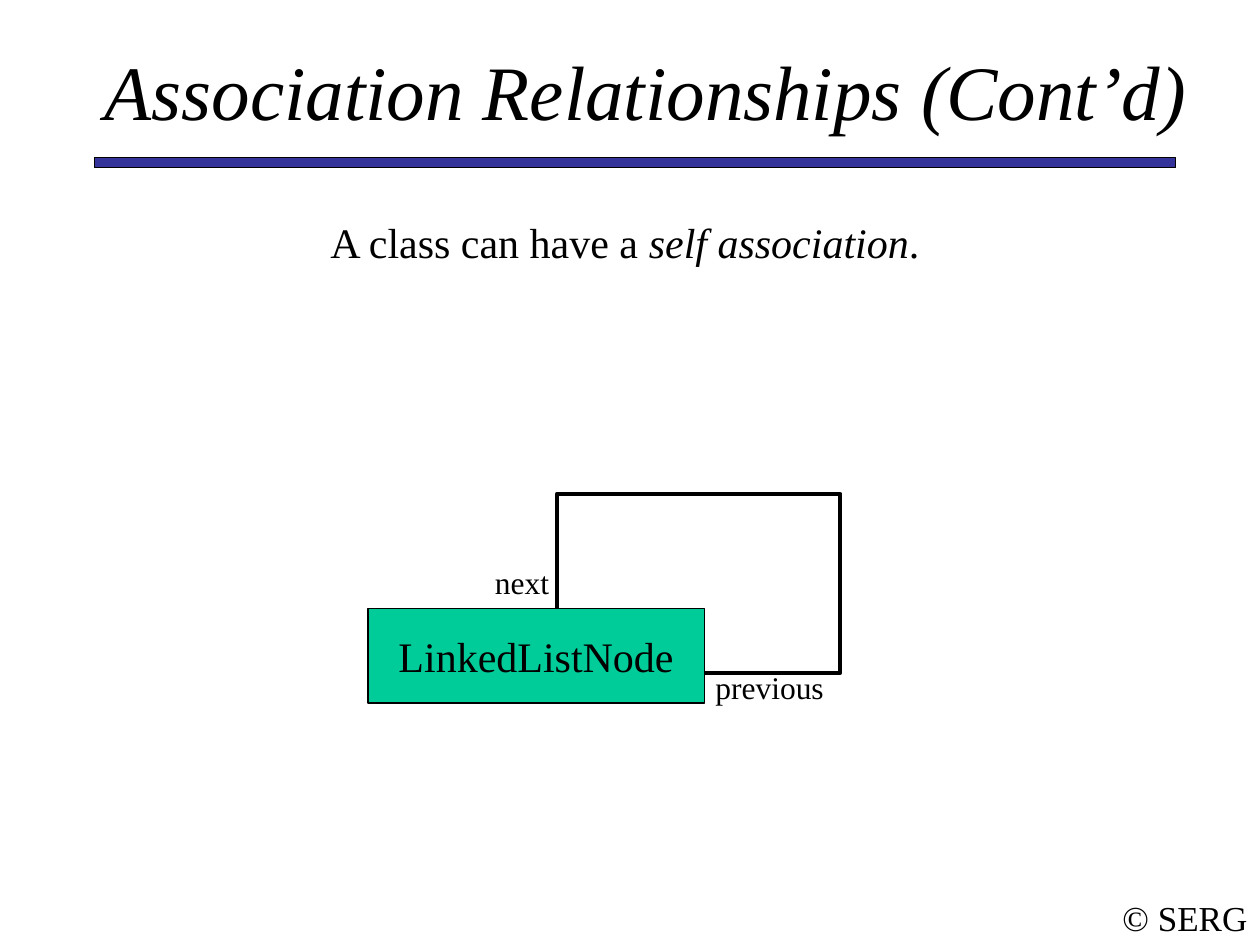
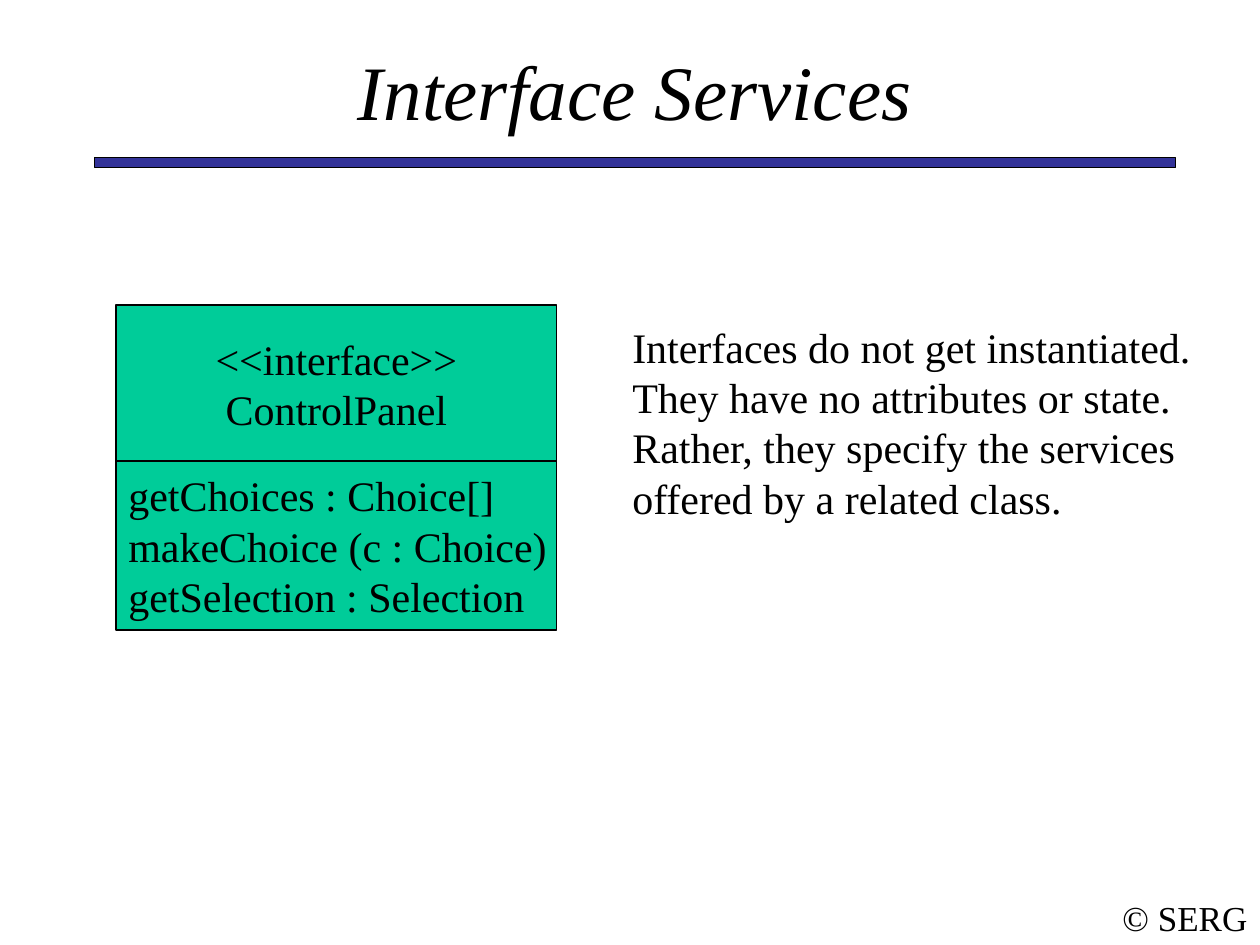
from pptx import Presentation
from pptx.dml.color import RGBColor
from pptx.enum.shapes import MSO_SHAPE
from pptx.enum.text import MSO_ANCHOR, MSO_AUTO_SIZE, PP_ALIGN
from pptx.util import Inches, Pt

RECTANGLE = MSO_SHAPE.RECTANGLE
TOP, MIDDLE = MSO_ANCHOR.TOP, MSO_ANCHOR.MIDDLE
LEFT, CENTER = PP_ALIGN.LEFT, PP_ALIGN.CENTER
NO_AUTOFIT = MSO_AUTO_SIZE.NONE
TITLE_ONLY = 5

FONT = "Times New Roman"
BLACK, WHITE, NAVY, GREEN = "000000", "FFFFFF", "333399", "00CC99"
TITLE_SIZE, BODY_SIZE, FOOTER_SIZE, ROLE_SIZE = 44, 24, 20, 18


def color(value):
    """Turn a hex string into a colour."""
    return RGBColor.from_string(value)


def write(shape, paragraphs, size=BODY_SIZE, align=LEFT, anchor=TOP, wrap=True):
    """Fill a shape with paragraphs, each a list of (text, italic) spans."""
    frame = shape.text_frame
    settings = {"word_wrap": wrap, "auto_size": NO_AUTOFIT, "vertical_anchor": anchor}
    for name, value in settings.items():
        setattr(frame, name, value)
    for index, spans in enumerate(paragraphs):
        para = frame.paragraphs[0] if index == 0 else frame.add_paragraph()
        para.alignment = align
        for text, italic in spans:
            span = para.add_run()
            span.text = text
            for name, value in {"name": FONT, "size": Pt(size), "italic": italic}.items():
                setattr(span.font, name, value)
            span.font.color.rgb = color(BLACK)


def plain(*lines):
    """Make one upright paragraph of each line."""
    return [[(line, False)] for line in lines]


def add_text(page, bounds, paragraphs, **options):
    """Add a text box."""
    box = page.shapes.add_textbox(*map(Inches, bounds))
    write(box, paragraphs, **options)


def add_box(page, bounds, fill, line_width=0.75):
    """Add an outlined rectangle."""
    box = page.shapes.add_shape(RECTANGLE, *map(Inches, bounds))
    box.shadow.inherit = False
    box.fill.solid()
    box.fill.fore_color.rgb = color(fill)
    box.line.color.rgb = color(BLACK)
    box.line.width = Pt(line_width)
    return box


def add_class_box(page, bounds, lines, align=CENTER):
    """Add one compartment of a class diagram."""
    box = add_box(page, bounds, GREEN)
    write(box, plain(*lines), align=align, anchor=MIDDLE, wrap=False)


def add_page(deck, heading, left, width):
    """Add a slide with its title, rule and footer."""
    page = deck.slides.add_slide(deck.slide_layouts[TITLE_ONLY])
    add_text(page, (8.81, 7.06, 1.19, 0.44), plain("© SERG"),
             size=FOOTER_SIZE, align=CENTER, anchor=MIDDLE, wrap=False)
    add_box(page, (0.75, 1.25, 8.58, 0.08), NAVY)
    title = page.shapes.title
    bounds = {"left": left, "top": 0.42, "width": width, "height": 0.58}
    for name, value in bounds.items():
        setattr(title, name, Inches(value))
    write(title, [[(heading, True)]], size=TITLE_SIZE, align=CENTER, anchor=MIDDLE)
    return page


def build_self_association(deck):
    """Show a class that is linked to itself."""
    page = add_page(deck, "Association Relationships (Cont’d)", 0.67, 8.92)
    statement = [("A class can have a ", False), ("self association", True), (".", False)]
    add_text(page, (0.67, 1.67, 8.58, 0.5), [statement], align=CENTER)
    add_box(page, (4.42, 3.92, 2.25, 1.42), WHITE, line_width=2.25)
    add_class_box(page, (2.92, 4.83, 2.67, 0.75), ["LinkedListNode"])
    roles = {"next": (3.83, 4.42, 0.67, 0.4), "previous": (5.58, 5.25, 1.17, 0.4)}
    for role, bounds in roles.items():
        add_text(page, bounds, plain(role), size=ROLE_SIZE)


def build_interface_services(deck):
    """Show an interface and the services it specifies."""
    page = add_page(deck, "Interface Services", 0.75, 8.58)
    add_text(page, (4.92, 2.5, 4.83, 1.7), plain(
        "Interfaces do not get instantiated. They have no attributes or state. "
        "Rather, they specify the services offered by a related class."))
    add_class_box(page, (0.92, 2.42, 3.5, 1.25), ["<<interface>>", "ControlPanel"])
    services = ["getChoices : Choice[]", "makeChoice (c : Choice)",
                "getSelection : Selection"]
    add_class_box(page, (0.92, 3.66, 3.5, 1.34), services, align=LEFT)


def main():
    """Build and save the deck."""
    deck = Presentation()
    deck.slide_width, deck.slide_height = Inches(10), Inches(7.5)
    build_self_association(deck)
    build_interface_services(deck)
    deck.save("out.pptx")


if __name__ == "__main__":
    main()
